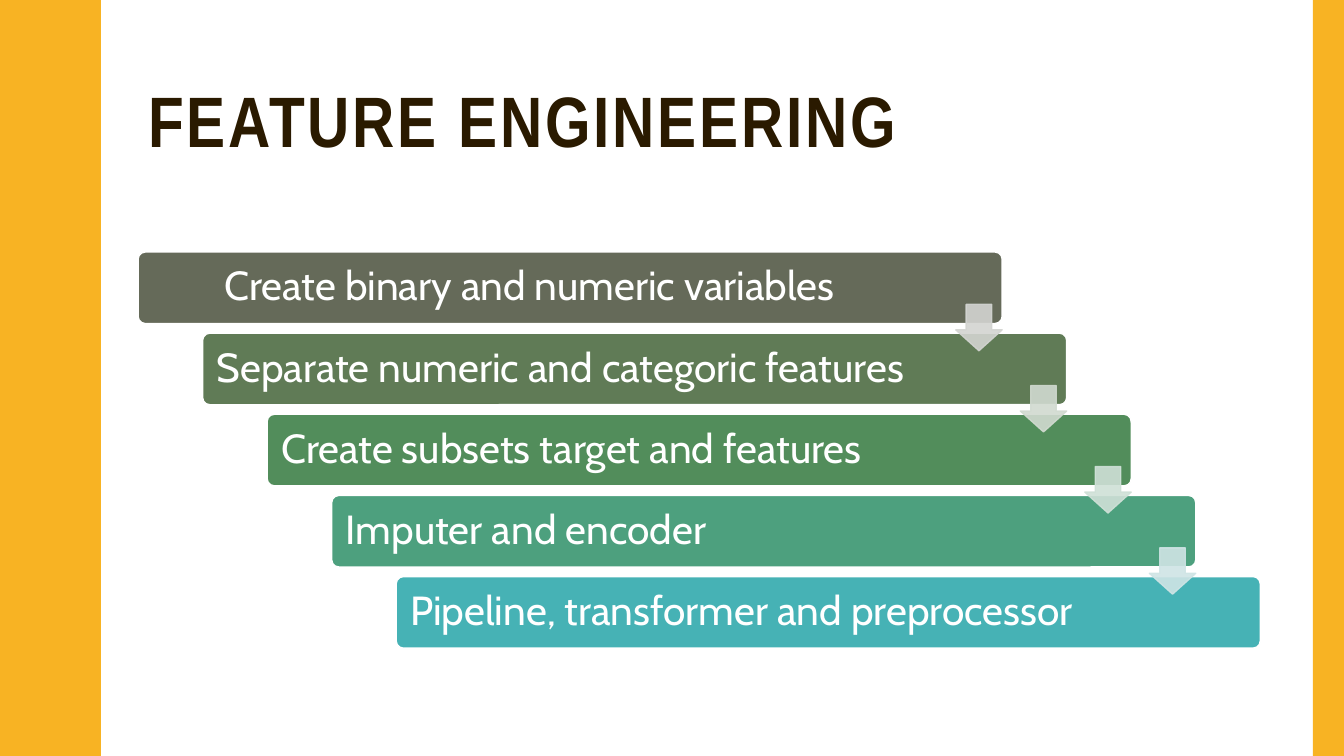
"""Build the Feature Engineering slide: a staircase of five steps linked by arrows."""
import pptx
import pptx.util
import pptx.dml.color
import pptx.enum.shapes
import pptx.enum.text
import pptx.oxml.ns
from lxml import etree

Inches, Pt = pptx.util.Inches, pptx.util.Pt
SHAPE = pptx.enum.shapes.MSO_SHAPE
ALIGN = pptx.enum.text.PP_ALIGN
MIDDLE = pptx.enum.text.MSO_ANCHOR.MIDDLE
qn = pptx.oxml.ns.qn

TITLE = "FEATURE ENGINEERING"
STEPS = [
    ("Create binary and numeric variables", "656A59", ALIGN.CENTER, 0.92),
    ("Separate numeric and categoric features", "607B56", ALIGN.LEFT, 1.22),
    ("Create subsets target and features", "528D5B", ALIGN.LEFT, 1.22),
    ("Imputer and encoder", "4DA07E", ALIGN.LEFT, 1.22),
    ("Pipeline, transformer and preprocessor", "46B2B5", ALIGN.LEFT, 1.22),
]
ARROW_COLORS = ["D3D4D1", "D1DAD0", "CFE0D7", "CFE4E5"]
AMBER, BROWN, WHITE = "F8B323", "2A1A00", "FFFFFF"

SLIDE_W, SLIDE_H = 13.33, 7.5
EDGE_W = 0.31
BAR_X, BAR_Y, BAR_W, BAR_H = 1.37, 2.5, 8.57, 0.71
STEP_X, STEP_Y = 0.64, 0.805
ARROW, ARROW_DY = 0.46, 0.52
WAVE_PERIOD = 1.5
HALF_WAVE = [
    (0.78, 0), (0.78, 0.07), (0.79, 0.14), (0.8, 0.2), (0.81, 0.25),
    (0.83, 0.29), (0.85, 0.33), (0.87, 0.38), (0.89, 0.42), (0.91, 0.46),
    (0.93, 0.5), (0.95, 0.55), (0.96, 0.61), (0.97, 0.68), (0.97, 0.75),
]


def rgb(color):
    return pptx.dml.color.RGBColor.from_string(color)


def paint(sp, fill, line=None):
    sp.shadow.inherit = False
    sp.fill.solid()
    sp.fill.fore_color.rgb = rgb(fill)
    if line:
        sp.line.color.rgb = rgb(line)
        sp.line.width = Pt(1)
    else:
        sp.line.fill.background()


def add_shape(slide, kind, x, y, w, h, fill, line=None, adjustments=()):
    sp = slide.shapes.add_shape(kind, Inches(x), Inches(y), Inches(w), Inches(h))
    paint(sp, fill, line)
    for i, value in enumerate(adjustments):
        sp.adjustments[i] = value
    return sp


def write(sp, text, font, size, color, align=ALIGN.LEFT, bold=False):
    tf = sp.text_frame
    tf.word_wrap = True
    tf.vertical_anchor = MIDDLE
    p = tf.paragraphs[0]
    p.alignment = align
    p.line_spacing = 0.9
    r = p.add_run()
    r.text = text
    p.font.name, p.font.size, p.font.bold = font, Pt(size), bold
    p.font.color.rgb = rgb(color)
    return r


def add_wave(slide):
    wave = HALF_WAVE + [(x, WAVE_PERIOD - y) for x, y in HALF_WAVE[-2::-1]]
    periods = round(SLIDE_H / WAVE_PERIOD)
    points = [(x, y + n * WAVE_PERIOD) for n in range(periods) for x, y in wave]
    builder = slide.shapes.build_freeform(0, 0, scale=Inches(1))
    builder.add_line_segments(points + [(0, SLIDE_H)], close=True)
    paint(builder.convert_to_shape(), AMBER)


def add_title(slide):
    sp = slide.shapes.add_textbox(Inches(1.37), Inches(0.42), Inches(11.13), Inches(1.63))
    r = write(sp, TITLE, "Arial Narrow", 51, BROWN, bold=True)
    r._r.get_or_add_rPr().set("spc", "200")


def add_steps(slide):
    for i, (text, color, align, right) in enumerate(STEPS):
        sp = add_shape(slide, SHAPE.ROUNDED_RECTANGLE, BAR_X + i * STEP_X,
                       BAR_Y + i * STEP_Y, BAR_W, BAR_H, color, WHITE, [0.1])
        tf = sp.text_frame
        tf.margin_left = tf.margin_top = tf.margin_bottom = Inches(0.12)
        tf.margin_right = Inches(right)
        write(sp, text, "Cabin", 29, WHITE, align)


def add_arrows(slide):
    for i, color in enumerate(ARROW_COLORS):
        sp = add_shape(slide, SHAPE.DOWN_ARROW, BAR_X + BAR_W - ARROW + i * STEP_X,
                       BAR_Y + ARROW_DY + i * STEP_Y, ARROW, ARROW,
                       color, color, [0.55, 0.45])
        for clr in sp._element.spPr.iter(qn("a:srgbClr")):
            etree.SubElement(clr, qn("a:alpha")).set("val", "90000")


def main():
    prs = pptx.Presentation()
    prs.slide_width, prs.slide_height = Inches(SLIDE_W), Inches(SLIDE_H)
    slide = prs.slides.add_slide(prs.slide_layouts[6])
    slide.background.fill.solid()
    slide.background.fill.fore_color.rgb = rgb(WHITE)
    add_title(slide)
    add_wave(slide)
    add_shape(slide, SHAPE.RECTANGLE, SLIDE_W - EDGE_W, 0, EDGE_W, SLIDE_H, AMBER)
    add_steps(slide)
    add_arrows(slide)
    prs.save("out.pptx")


if __name__ == "__main__":
    main()
